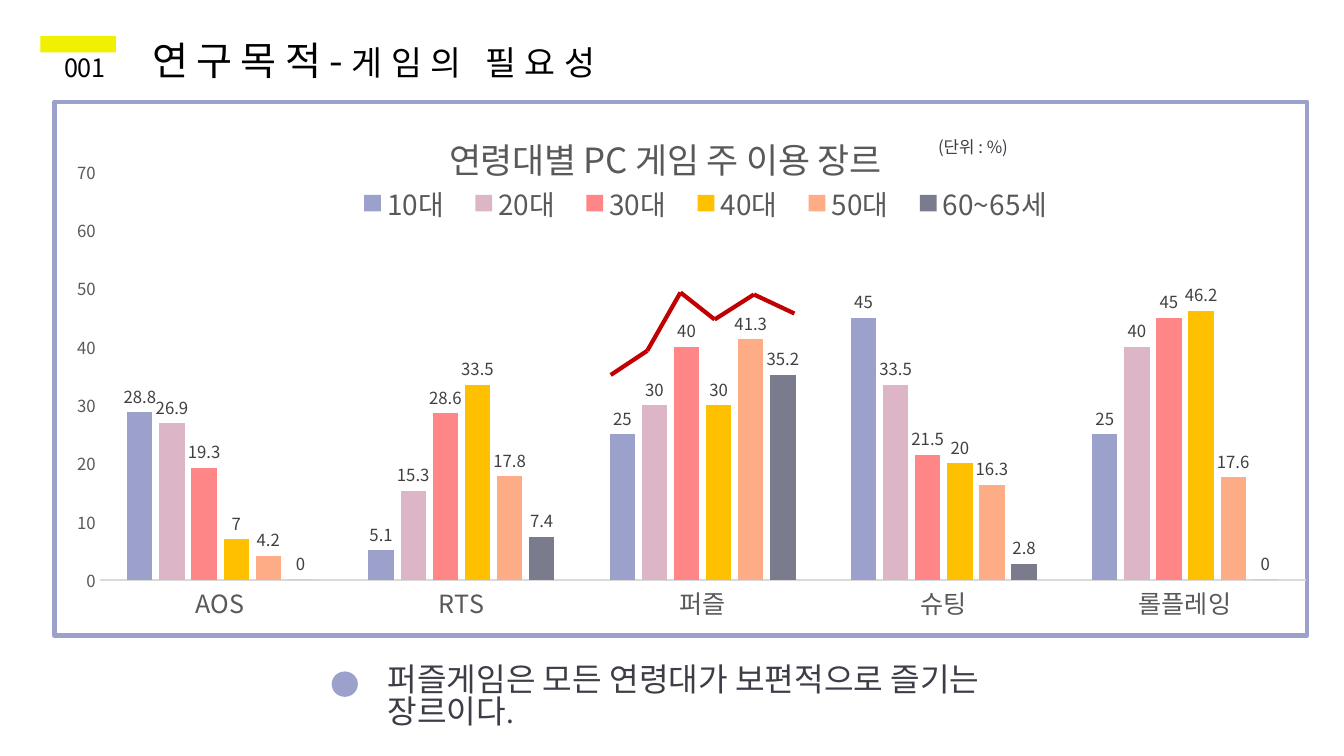
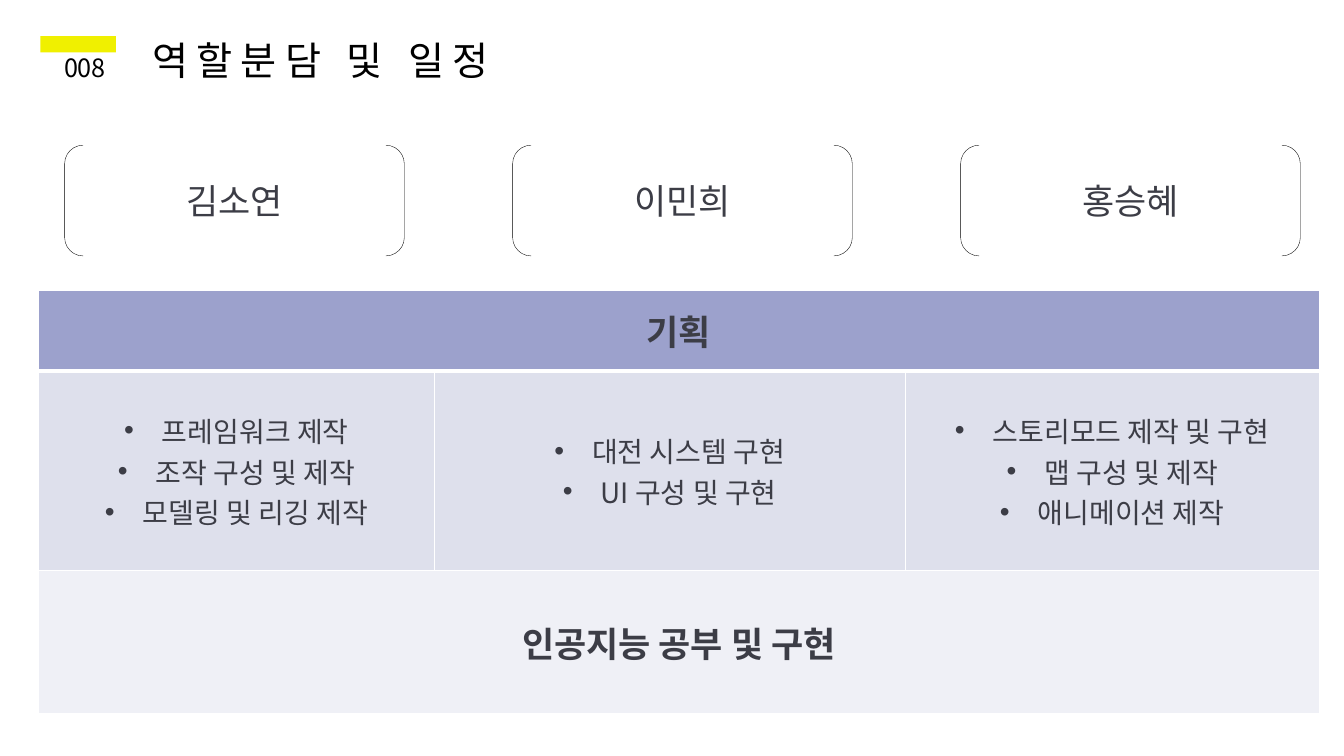
from itertools import pairwise

from lxml import etree
from pptx import Presentation
from pptx.chart.data import CategoryChartData
from pptx.dml.color import RGBColor
from pptx.enum import chart as chart_enum, shapes, text
from pptx.oxml import ns
from pptx.util import Cm, Pt

FONT = "Noto Sans CJK KR"
COLORS = {
    "black": "000000",
    "white": "FFFFFF",
    "yellow": "F0F000",
    "periwinkle": "9CA1CC",
    "ink": "3C3D46",
    "gray": "595959",
    "label": "404040",
    "axis": "D9D9D9",
    "red": "C20002",
    "row": "DEE0EC",
    "pale_row": "EFF0F6",
}
GENRES = ["AOS", "RTS", "퍼즐", "슈팅", "롤플레잉"]
AGE_GROUPS = [
    ("10대", "9CA1CC", (28.8, 5.1, 25, 45, 25)),
    ("20대", "DCB6C7", (26.9, 15.3, 30, 33.5, 40)),
    ("30대", "FF8687", (19.3, 28.6, 40, 21.5, 45)),
    ("40대", "FFC000", (7, 33.5, 30, 20, 46.2)),
    ("50대", "FEAC86", (4.2, 17.8, 41.3, 16.3, 17.6)),
    ("60~65세", "7A7C8E", (0, 7.4, 35.2, 2.8, 0)),
]
TREND_POINTS = [(15.39, 9.45), (16.31, 8.84), (17.15, 7.37),
                (18.01, 8.05), (19, 7.42), (20.02, 7.9)]
MEMBERS = ["김소연", "이민희", "홍승혜"]
TASKS = [
    ["프레임워크 제작", "조작 구성 및 제작", "모델링 및 리깅 제작"],
    ["대전 시스템 구현", "UI 구성 및 구현"],
    ["스토리모드 제작 및 구현", "맵 구성 및 제작", "애니메이션 제작"],
]


def rgb(color):
    return RGBColor.from_string(COLORS.get(color, color))


def box(left, top, width, height):
    return Cm(left), Cm(top), Cm(width), Cm(height)


def add_xml(parent, tag, **attributes):
    child = etree.SubElement(parent, ns.qn(tag))
    for name, value in attributes.items():
        child.set(name, str(value))
    return child


def format_font(font, size, color, bold=False):
    font.name = FONT
    font.size = Pt(size)
    font.bold = bold
    font.color.rgb = rgb(color)


def write_text(paragraph, content, size=25, color="ink", bold=False, spacing=0,
               align=text.PP_ALIGN.LEFT):
    paragraph.alignment = align
    run = paragraph.add_run()
    run.text = content
    format_font(run.font, size, color, bold)
    properties = run._r.get_or_add_rPr()
    add_xml(properties, "a:ea", typeface=FONT)
    if spacing:
        properties.set("spc", str(spacing * 100))


def add_text_box(slide, place, runs, line_spacing=None, margin_top=0.13, **style):
    frame = slide.shapes.add_textbox(*box(*place)).text_frame
    frame.word_wrap = True
    frame.margin_top = Cm(margin_top)
    paragraph = frame.paragraphs[0]
    paragraph.line_spacing = line_spacing
    for content, size in runs:
        write_text(paragraph, content, size=size, **style)


def add_plain_shape(slide, kind, place, fill=None, line=None):
    shape = slide.shapes.add_shape(kind, *box(*place))
    shape.shadow.inherit = False
    if fill:
        shape.fill.solid()
        shape.fill.fore_color.rgb = rgb(fill)
    else:
        shape.fill.background()
    if line:
        shape.line.color.rgb = rgb(line)
        shape.line.width = Pt(0.25)
    else:
        shape.line.fill.background()
    return shape


def add_headed_slide(presentation, number, title_runs):
    slide = presentation.slides.add_slide(presentation.slide_layouts[5])
    add_plain_shape(slide, shapes.MSO_SHAPE.RECTANGLE, (1.02, 0.91, 1.9, 0.41), fill="yellow")
    add_text_box(slide, (1.02, 1.32, 1.9, 1.02), [(number, 18)], margin_top=0,
                 color="black", align=text.PP_ALIGN.RIGHT)
    title = slide.shapes.title
    title.left, title.top, title.width, title.height = box(3.58, 0.91, 13.54, 1.45)
    frame = title.text_frame
    frame.auto_size = text.MSO_AUTO_SIZE.NONE
    frame.vertical_anchor = text.MSO_ANCHOR.TOP
    frame.margin_top = 0
    for content, size in title_runs:
        write_text(frame.paragraphs[0], content, size=size, color="black", spacing=6)
    return slide


def place_chart_part(part, index, inner=False, **fractions):
    for old in part.findall(ns.qn("c:layout")):
        part.remove(old)
    layout = etree.Element(ns.qn("c:layout"))
    manual = add_xml(layout, "c:manualLayout")
    if inner:
        add_xml(manual, "c:layoutTarget", val="inner")
    for axis in "xy":
        add_xml(manual, f"c:{axis}Mode", val="edge")
    for name, value in fractions.items():
        add_xml(manual, f"c:{name}", val=value)
    part.insert(index, layout)


def add_line_xml(parent, tag, color, points):
    line = add_xml(parent, tag, w=Pt(points))
    add_xml(add_xml(line, "a:solidFill"), "a:srgbClr", val=COLORS[color])


def frame_chart(chart):
    properties = etree.Element(ns.qn("c:spPr"))
    add_xml(properties, "a:noFill")
    add_line_xml(properties, "a:ln", "periwinkle", 3)
    chart._chartSpace.find(ns.qn("c:txPr")).addprevious(properties)


def format_axes(chart):
    for axis, size in ((chart.category_axis, 18), (chart.value_axis, 12)):
        axis.major_tick_mark = chart_enum.XL_TICK_MARK.NONE
        axis.minor_tick_mark = chart_enum.XL_TICK_MARK.NONE
        axis.has_major_gridlines = False
        format_font(axis.tick_labels.font, size, "gray")
    chart.category_axis.format.line.color.rgb = rgb("axis")
    chart.category_axis.format.line.width = Pt(0.75)
    value_axis = chart.value_axis
    value_axis.format.line.fill.background()
    value_axis.minimum_scale = 0
    value_axis.maximum_scale = 70
    value_axis.major_unit = 10


def format_series(plot):
    plot.gap_width = 219
    plot.overlap = -27
    plot.vary_by_categories = False
    for series, (_, color, _) in zip(plot.series, AGE_GROUPS):
        series.format.fill.solid()
        series.format.fill.fore_color.rgb = rgb(color)
        labels = series.data_labels
        labels.show_value = True
        labels.position = chart_enum.XL_LABEL_POSITION.OUTSIDE_END
        format_font(labels.font, 12, "label")


def add_genre_chart(slide):
    data = CategoryChartData()
    data.categories = GENRES
    for name, _, values in AGE_GROUPS:
        data.add_series(name, values)
    chart = slide.shapes.add_chart(chart_enum.XL_CHART_TYPE.COLUMN_CLUSTERED,
                                   *box(1.32, 2.51, 31.67, 13.56), data).chart
    format_font(chart.font, 10, "black")
    frame_chart(chart)
    format_axes(chart)
    format_series(chart.plots[0])
    write_text(chart.chart_title.text_frame.paragraphs[0], "연령대별 PC 게임 주 이용 장르",
               color="gray", align=text.PP_ALIGN.CENTER)
    chart.has_legend = True
    chart.legend.position = chart_enum.XL_LEGEND_POSITION.TOP
    chart.legend.include_in_layout = False
    format_font(chart.legend.font, 20, "gray")
    root = chart._chartSpace.find(ns.qn("c:chart"))
    place_chart_part(root.find(ns.qn("c:title")), 1, x=0.31, y=0.04)
    place_chart_part(root.find(ns.qn("c:legend")), 1, x=0.23, y=0.15, w=0.58, h=0.08)
    place_chart_part(root.find(ns.qn("c:plotArea")), 0, inner=True,
                     x=0.036, y=0.132, w=0.963, h=0.764)


def add_trend(slide):
    for start, end in pairwise(TREND_POINTS):
        connector = slide.shapes.add_connector(shapes.MSO_CONNECTOR.STRAIGHT, *box(*start, *end))
        connector.line.color.rgb = rgb("red")
        connector.line.width = Pt(3)
        add_xml(connector._element.spPr, "a:effectLst")


def add_bullet(paragraph):
    properties = paragraph._p.get_or_add_pPr()
    properties.set("marL", str(Cm(0.95)))
    properties.set("indent", str(-Cm(0.95)))
    add_xml(properties, "a:buFont", typeface="Arial")
    add_xml(properties, "a:buChar", char="•")


def fill_cell(cell, lines, fill, bulleted=False, top=1, bottom=1, **style):
    properties = cell._tc.get_or_add_tcPr()
    for side, points in (("L", 1), ("R", 1), ("T", top), ("B", bottom)):
        add_line_xml(properties, f"a:ln{side}", "white", points)
    cell.fill.solid()
    cell.fill.fore_color.rgb = rgb(fill)
    cell.vertical_anchor = text.MSO_ANCHOR.MIDDLE
    frame = cell.text_frame
    for index, line in enumerate(lines):
        paragraph = frame.add_paragraph() if index else frame.paragraphs[0]
        if bulleted:
            add_bullet(paragraph)
        write_text(paragraph, line, align=text.PP_ALIGN.CENTER, **style)


def add_task_table(slide):
    widths, heights = (9.98, 11.86, 10.44), (2.03, 5.03, 3.61)
    table = slide.shapes.add_table(len(heights), len(widths),
                                   *box(0.97, 7.32, sum(widths), sum(heights))).table
    table.horz_banding = False
    for column, width in zip(table.columns, widths):
        column.width = Cm(width)
    for row, height in zip(table.rows, heights):
        row.height = Cm(height)
    for row in (0, 2):
        table.cell(row, 0).merge(table.cell(row, 2))
    for column, tasks in enumerate(TASKS):
        fill_cell(table.cell(0, column), [] if column else ["기획"], "periwinkle",
                  bottom=3, bold=True)
        fill_cell(table.cell(1, column), tasks, "row", bulleted=True, top=3, size=20)
        fill_cell(table.cell(2, column), [] if column else ["인공지능 공부 및 구현"],
                  "pale_row", bold=True)


def add_members(slide):
    for index, name in enumerate(MEMBERS):
        bracket = add_plain_shape(slide, shapes.MSO_SHAPE.DOUBLE_BRACKET,
                                  (1.63 + 11.29 * index, 3.66, 8.56, 2.79), line="black")
        bracket.text_frame.vertical_anchor = text.MSO_ANCHOR.MIDDLE
        write_text(bracket.text_frame.paragraphs[0], name, align=text.PP_ALIGN.CENTER)


def build_purpose_slide(presentation):
    slide = add_headed_slide(presentation, "001", [("연구목적-", 28), ("게임의 필요성", 24)])
    add_plain_shape(slide, shapes.MSO_SHAPE.OVAL, (8.36, 16.92, 0.66, 0.64), fill="periwinkle")
    add_text_box(slide, (9.52, 16.66, 18.52, 1.24),
                 [("퍼즐게임은 모든 연령대가 보편적으로 즐기는 장르이다", 23), (".", 20)],
                 line_spacing=0.82)
    add_genre_chart(slide)
    add_text_box(slide, (23.39, 3.4, 2.36, 0.76), [("(단위 : %)", 12)], line_spacing=0.82)
    add_trend(slide)


def build_roles_slide(presentation):
    slide = add_headed_slide(presentation, "008", [("역할분담 및 일정", 28)])
    add_task_table(slide)
    add_members(slide)


def main():
    presentation = Presentation()
    presentation.slide_width, presentation.slide_height = Cm(33.87), Cm(19.05)
    build_purpose_slide(presentation)
    build_roles_slide(presentation)
    presentation.save("out.pptx")


if __name__ == "__main__":
    main()
